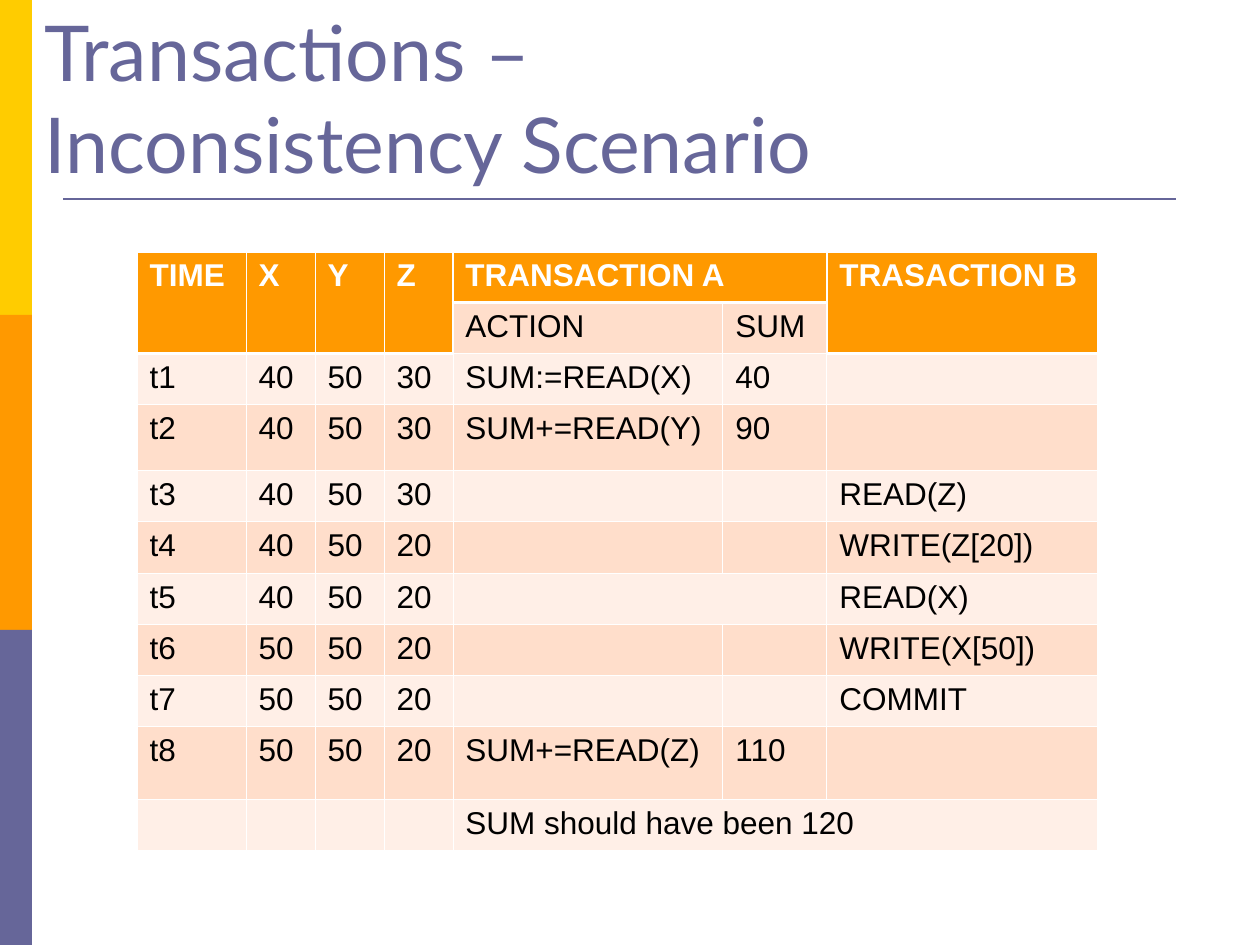
from dataclasses import dataclass

from lxml import etree
from pptx import Presentation
from pptx.dml.color import RGBColor
from pptx.enum.shapes import MSO_CONNECTOR, MSO_SHAPE
from pptx.enum.text import MSO_ANCHOR
from pptx.oxml.ns import qn
from pptx.util import Pt

RECTANGLE = MSO_SHAPE.RECTANGLE
STRAIGHT = MSO_CONNECTOR.STRAIGHT
BOTTOM = MSO_ANCHOR.BOTTOM
EMU_PER_PX = 914400 / 126


@dataclass(frozen=True)
class Theme:
    purple: str = "666699"
    orange: str = "FF9900"
    yellow: str = "FFCC00"
    white: str = "FFFFFF"
    black: str = "000000"
    light_band: str = "FFEFE7"
    dark_band: str = "FFDECB"
    title_font: str = "Lato"
    table_font: str = "Arial"
    title_size: int = 44
    table_size: int = 18
    rule_width: float = 1.5
    thin_border: float = 0.45
    thick_border: float = 1.47


@dataclass(frozen=True)
class Bar:
    top: int
    color: str


@dataclass(frozen=True)
class Merge:
    row: int
    column: int
    last_row: int
    last_column: int


THEME = Theme()
BAR_WIDTH, BAR_HEIGHT = 32, 315
BARS = [
    Bar(index * BAR_HEIGHT, color)
    for index, color in enumerate((THEME.yellow, THEME.orange, THEME.purple))
]
TITLE_LINES = ("Transactions –", "Inconsistency Scenario")

COLUMN_WIDTHS = (109, 69, 69, 69, 270, 104, 271)
ROW_HEIGHTS = (50, 51, 51, 66, 51, 52, 51, 51, 51, 73, 51)
HEADER_ROWS = 2
TRANSACTION_A_COLUMNS = (4, 5)
TRANSACTION_B_COLUMN = 6
SCHEDULE = (
    ("TIME", "X", "Y", "Z", "TRANSACTION A", "", "TRASACTION B"),
    ("", "", "", "", "ACTION", "SUM", ""),
    ("t1", "40", "50", "30", "SUM:=READ(X)", "40", ""),
    ("t2", "40", "50", "30", "SUM+=READ(Y)", "90", ""),
    ("t3", "40", "50", "30", "", "", "READ(Z)"),
    ("t4", "40", "50", "20", "", "", "WRITE(Z[20])"),
    ("t5", "40", "50", "20", "", "", "READ(X)"),
    ("t6", "50", "50", "20", "", "", "WRITE(X[50])"),
    ("t7", "50", "50", "20", "", "", "COMMIT"),
    ("t8", "50", "50", "20", "SUM+=READ(Z)", "110", ""),
    ("", "", "", "", "SUM should have been 120", "", ""),
)
MERGES = [Merge(0, column, 1, column) for column in (0, 1, 2, 3, 6)] + [
    Merge(0, 4, 0, 5),
    Merge(6, 4, 6, 5),
    Merge(10, 4, 10, 6),
]


def px(length: int) -> int:
    return round(length * EMU_PER_PX)


def rgb(color: str) -> RGBColor:
    return RGBColor.from_string(color)


def format_font(font, color: str, **values) -> None:
    for name, value in values.items():
        setattr(font, name, value)
    font.color.rgb = rgb(color)


def draw_bar(page, bar: Bar) -> None:
    shape = page.shapes.add_shape(
        RECTANGLE, 0, px(bar.top), px(BAR_WIDTH), px(BAR_HEIGHT)
    )
    shape.shadow.inherit = False
    shape.fill.solid()
    shape.fill.fore_color.rgb = rgb(bar.color)
    shape.line.fill.background()


def draw_title_rule(page) -> None:
    rule = page.shapes.add_connector(STRAIGHT, px(63), px(199), px(1176), px(199))
    rule.line.color.rgb = rgb(THEME.purple)
    rule.line.width = Pt(THEME.rule_width)
    etree.SubElement(rule.line._get_or_add_ln().getparent(), qn("a:effectLst"))


def draw_title(page) -> None:
    box = page.shapes.add_textbox(px(32), px(38), px(1270), px(157))
    frame = box.text_frame
    for name, value in {"word_wrap": True, "vertical_anchor": BOTTOM}.items():
        setattr(frame, name, value)
    paragraph = frame.paragraphs[0]
    for index, line in enumerate(TITLE_LINES):
        if index:
            paragraph.add_line_break()
        span = paragraph.add_run()
        span.text = line
        format_font(
            span.font, THEME.purple, name=THEME.title_font, size=Pt(THEME.title_size)
        )


def is_thick_horizontal(edge: int, column: int) -> bool:
    return edge == (1 if column in TRANSACTION_A_COLUMNS else HEADER_ROWS)


def is_thick_vertical(edge: int, row: int) -> bool:
    return row < HEADER_ROWS and edge in (
        TRANSACTION_A_COLUMNS[0],
        TRANSACTION_B_COLUMN,
    )


def draw_borders(cell, row: int, column: int) -> None:
    sides = {
        "a:lnL": is_thick_vertical(column, row),
        "a:lnR": is_thick_vertical(column + cell.span_width, row),
        "a:lnT": is_thick_horizontal(row, column),
        "a:lnB": is_thick_horizontal(row + cell.span_height, column),
    }
    properties = cell._tc.get_or_add_tcPr()
    for side, thick in sides.items():
        width = THEME.thick_border if thick else THEME.thin_border
        border = etree.SubElement(properties, qn(side), w=str(Pt(width)))
        fill = etree.SubElement(border, qn("a:solidFill"))
        etree.SubElement(fill, qn("a:srgbClr"), val=THEME.white)


def fill_cell(cell, row: int, column: int) -> None:
    header = row == 0
    band = THEME.dark_band if row % 2 else THEME.light_band
    draw_borders(cell, row, column)
    cell.fill.solid()
    cell.fill.fore_color.rgb = rgb(THEME.orange if header else band)
    cell.text = SCHEDULE[row][column]
    format_font(
        cell.text_frame.paragraphs[0].font,
        THEME.white if header else THEME.black,
        name=THEME.table_font,
        size=Pt(THEME.table_size),
        bold=header,
    )
    for span in cell.text_frame.paragraphs[0].runs:
        format_font(
            span.font,
            THEME.white if header else THEME.black,
            name=THEME.table_font,
            size=Pt(THEME.table_size),
            bold=header,
        )


def draw_schedule(page) -> None:
    table = page.shapes.add_table(
        len(ROW_HEIGHTS),
        len(COLUMN_WIDTHS),
        px(137),
        px(252),
        px(sum(COLUMN_WIDTHS)),
        px(sum(ROW_HEIGHTS)),
    ).table
    table.horz_banding = False
    for column, width in zip(table.columns, COLUMN_WIDTHS):
        column.width = px(width)
    for row, height in zip(table.rows, ROW_HEIGHTS):
        row.height = px(height)
    for merge in MERGES:
        table.cell(merge.row, merge.column).merge(
            table.cell(merge.last_row, merge.last_column)
        )
    for row in range(len(ROW_HEIGHTS)):
        for column in range(len(COLUMN_WIDTHS)):
            cell = table.cell(row, column)
            if not cell.is_spanned:
                fill_cell(cell, row, column)


def main() -> None:
    deck = Presentation()
    deck.slide_width, deck.slide_height = px(1260), px(945)
    page = deck.slides.add_slide(deck.slide_layouts[6])
    for bar in BARS:
        draw_bar(page, bar)
    draw_title_rule(page)
    draw_title(page)
    draw_schedule(page)
    deck.save("out.pptx")


if __name__ == "__main__":
    main()
